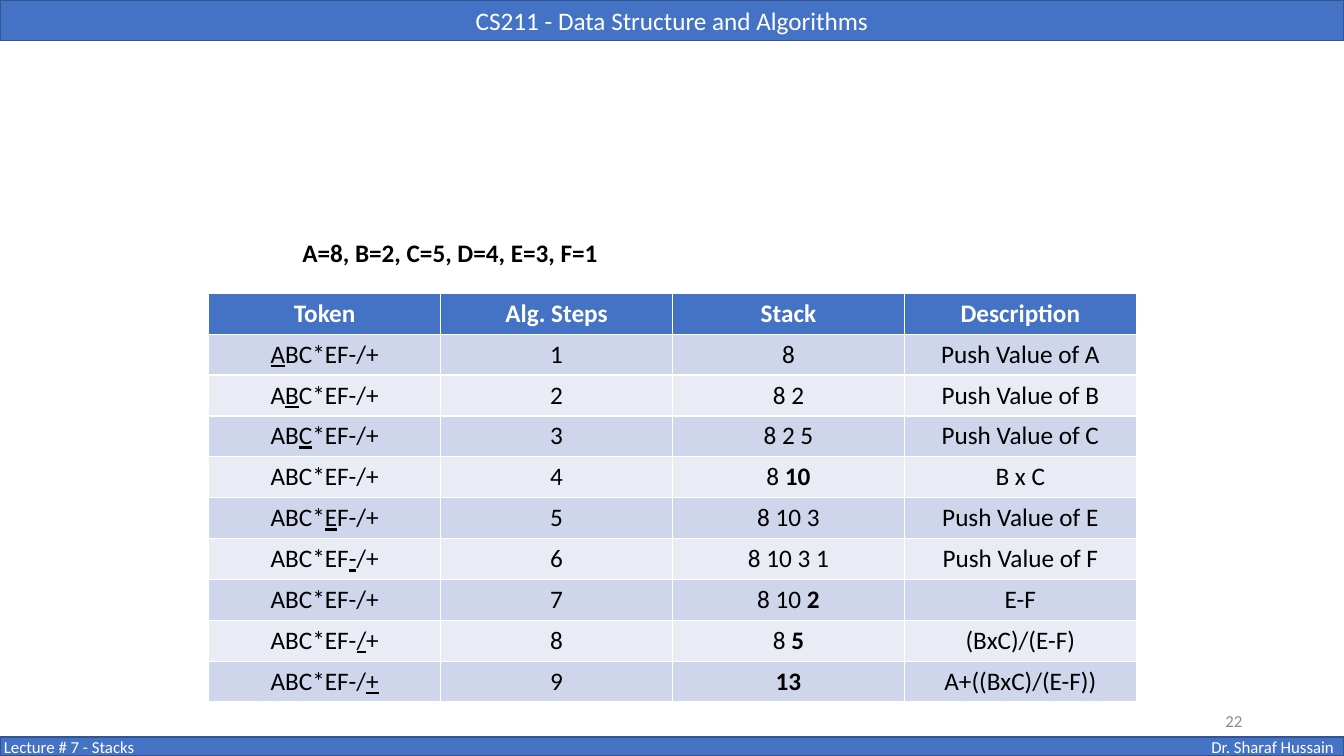
from dataclasses import dataclass
from typing import Optional

from pptx import Presentation
from pptx import util as u
from pptx.dml.color import RGBColor
from pptx.enum import shapes, text as t

BLUE = RGBColor(0x44, 0x72, 0xC4)
BAR_EDGE = RGBColor(0x32, 0x54, 0x91)
WHITE = RGBColor(0xFF, 0xFF, 0xFF)
BLACK = RGBColor(0x00, 0x00, 0x00)
GRAY = RGBColor(0x8C, 0x8C, 0x8C)
BAND_DARK = RGBColor(0xCF, 0xD5, 0xEA)
BAND_LIGHT = RGBColor(0xE9, 0xEB, 0xF5)

FONT = "Calibri"
SLIDE_WIDTH = 13.33
EXPRESSION = "ABC*EF-/+"
HEADINGS = ("Token", "Alg. Steps", "Stack", "Description")
COLUMN_WIDTH = 2.3
TABLE_HEIGHT = 4.04


@dataclass(frozen=True)
class Step:
    token_index: Optional[int]
    stack: str
    description: str
    result: str = ""


@dataclass(frozen=True)
class Label:
    text: str
    left: float
    top: float
    width: float
    height: float
    size: int
    color: RGBColor
    bold: bool = False
    wrap: bool = True
    align: t.PP_ALIGN = t.PP_ALIGN.LEFT
    anchor: t.MSO_ANCHOR = t.MSO_ANCHOR.TOP


STEPS = (
    Step(0, "8", "Push Value of A"),
    Step(1, "8 2", "Push Value of B"),
    Step(2, "8 2 5", "Push Value of C"),
    Step(None, "8 ", "B x C", result="10"),
    Step(4, "8 10 3", "Push Value of E"),
    Step(6, "8 10 3 1", "Push Value of F"),
    Step(None, "8 10 ", "E-F", result="2"),
    Step(7, "8 ", "(BxC)/(E-F)", result="5"),
    Step(8, "", "A+((BxC)/(E-F))", result="13"),
)

LABELS = (
    Label("Lecture # 7 - Stacks", -0.06, 7.26, 1.51, 0.3, 12, WHITE, wrap=False),
    Label("22", 9.42, 6.95, 3, 0.4, 12, GRAY,
          align=t.PP_ALIGN.RIGHT, anchor=t.MSO_ANCHOR.MIDDLE),
    Label("A=8, B=2, C=5, D=4, E=3, F=1", 2.9, 2.31, 4.52, 0.4, 18, BLACK, bold=True),
)


def add_text(paragraph, text: str, *, size: int = 18, color: RGBColor = BLACK,
             bold: bool = False, underline: bool = False,
             align: t.PP_ALIGN = t.PP_ALIGN.CENTER) -> None:
    if not text:
        return
    paragraph.alignment = align
    run = paragraph.add_run()
    run.text = text
    run.font.name = FONT
    run.font.size = u.Pt(size)
    run.font.color.rgb = color
    run.font.bold = bold
    run.font.underline = underline


def format_bar(shape, text: str, top: float, height: float, size: int,
               align: t.PP_ALIGN) -> None:
    shape.left, shape.top = u.Inches(0), u.Inches(top)
    shape.width, shape.height = u.Inches(SLIDE_WIDTH), u.Inches(height)
    shape.fill.solid()
    shape.fill.fore_color.rgb = BLUE
    shape.line.color.rgb = BAR_EDGE
    shape.line.width = u.Pt(1)
    shape.shadow.inherit = False
    frame = shape.text_frame
    frame.auto_size = t.MSO_AUTO_SIZE.NONE
    frame.vertical_anchor = t.MSO_ANCHOR.MIDDLE
    add_text(frame.paragraphs[0], text, size=size, color=WHITE, align=align)


def add_label(slide, label: Label) -> None:
    box = slide.shapes.add_textbox(u.Inches(label.left), u.Inches(label.top),
                                   u.Inches(label.width), u.Inches(label.height))
    frame = box.text_frame
    frame.word_wrap = label.wrap
    frame.vertical_anchor = label.anchor
    add_text(frame.paragraphs[0], label.text, size=label.size, color=label.color,
             bold=label.bold, align=label.align)


def fill_cell(cell, color: RGBColor):
    cell.fill.solid()
    cell.fill.fore_color.rgb = color
    return cell.text_frame.paragraphs[0]


def add_token(paragraph, index: Optional[int]) -> None:
    if index is None:
        add_text(paragraph, EXPRESSION)
        return
    add_text(paragraph, EXPRESSION[:index])
    add_text(paragraph, EXPRESSION[index], underline=True)
    add_text(paragraph, EXPRESSION[index + 1:])


def add_steps_table(slide) -> None:
    row_count = len(STEPS) + 1
    table = slide.shapes.add_table(
        row_count, len(HEADINGS), u.Inches(2.07), u.Inches(2.91),
        u.Inches(COLUMN_WIDTH * len(HEADINGS)), u.Inches(TABLE_HEIGHT)).table
    for row in table.rows:
        row.height = u.Inches(TABLE_HEIGHT / row_count)
    for column, heading in enumerate(HEADINGS):
        paragraph = fill_cell(table.cell(0, column), BLUE)
        add_text(paragraph, heading, color=WHITE, bold=True)
    for number, step in enumerate(STEPS, start=1):
        band = BAND_DARK if number % 2 else BAND_LIGHT
        token, order, stack, description = (
            fill_cell(table.cell(number, column), band)
            for column in range(len(HEADINGS)))
        add_token(token, step.token_index)
        add_text(order, str(number))
        add_text(stack, step.stack)
        add_text(stack, step.result, bold=True)
        add_text(description, step.description)


def main() -> None:
    presentation = Presentation()
    presentation.slide_width = u.Inches(SLIDE_WIDTH)
    presentation.slide_height = u.Inches(7.5)
    slide = presentation.slides.add_slide(presentation.slide_layouts[5])
    format_bar(slide.shapes.title, "CS211 - Data Structure and Algorithms",
               0, 0.4, 18, t.PP_ALIGN.CENTER)
    footer = slide.shapes.add_shape(shapes.MSO_SHAPE.RECTANGLE, 0, 0, 0, 0)
    format_bar(footer, "Dr. Sharaf Hussain", 7.31, 0.19, 12, t.PP_ALIGN.RIGHT)
    add_steps_table(slide)
    for label in LABELS:
        add_label(slide, label)
    presentation.save("out.pptx")


if __name__ == "__main__":
    main()
